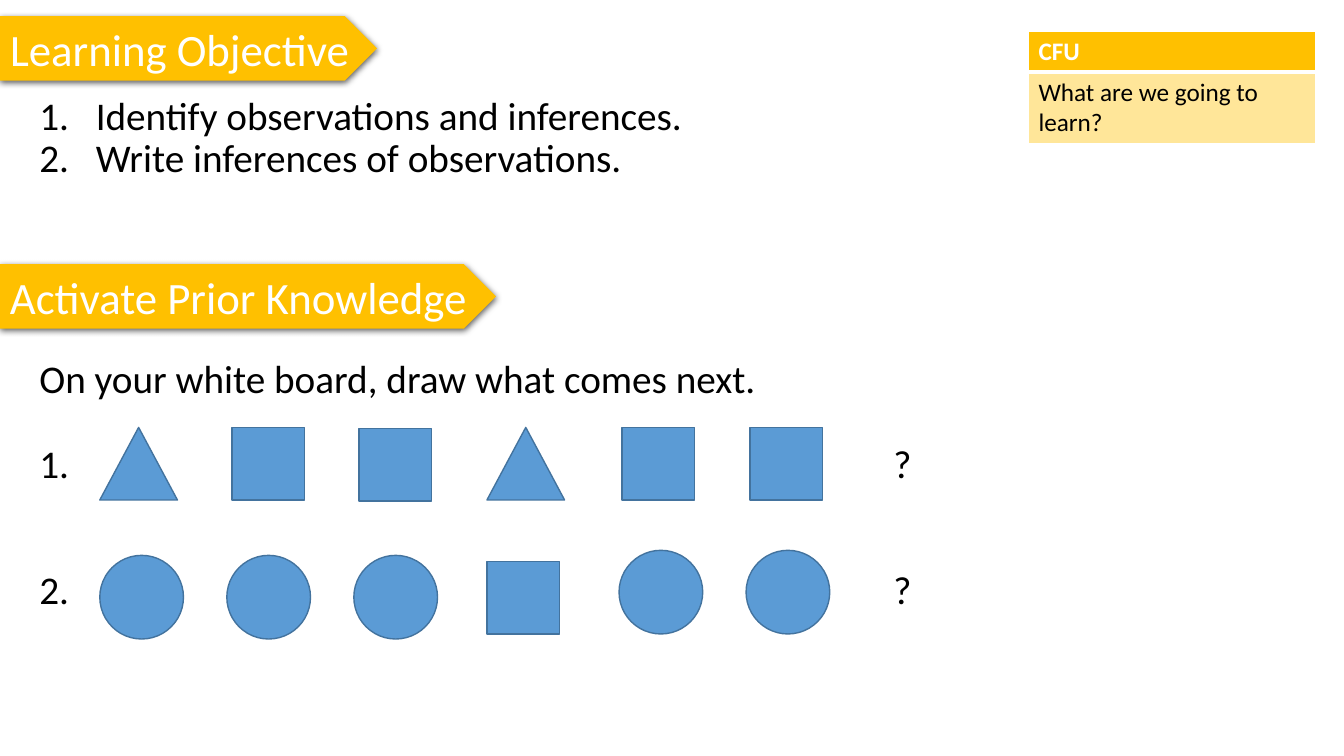
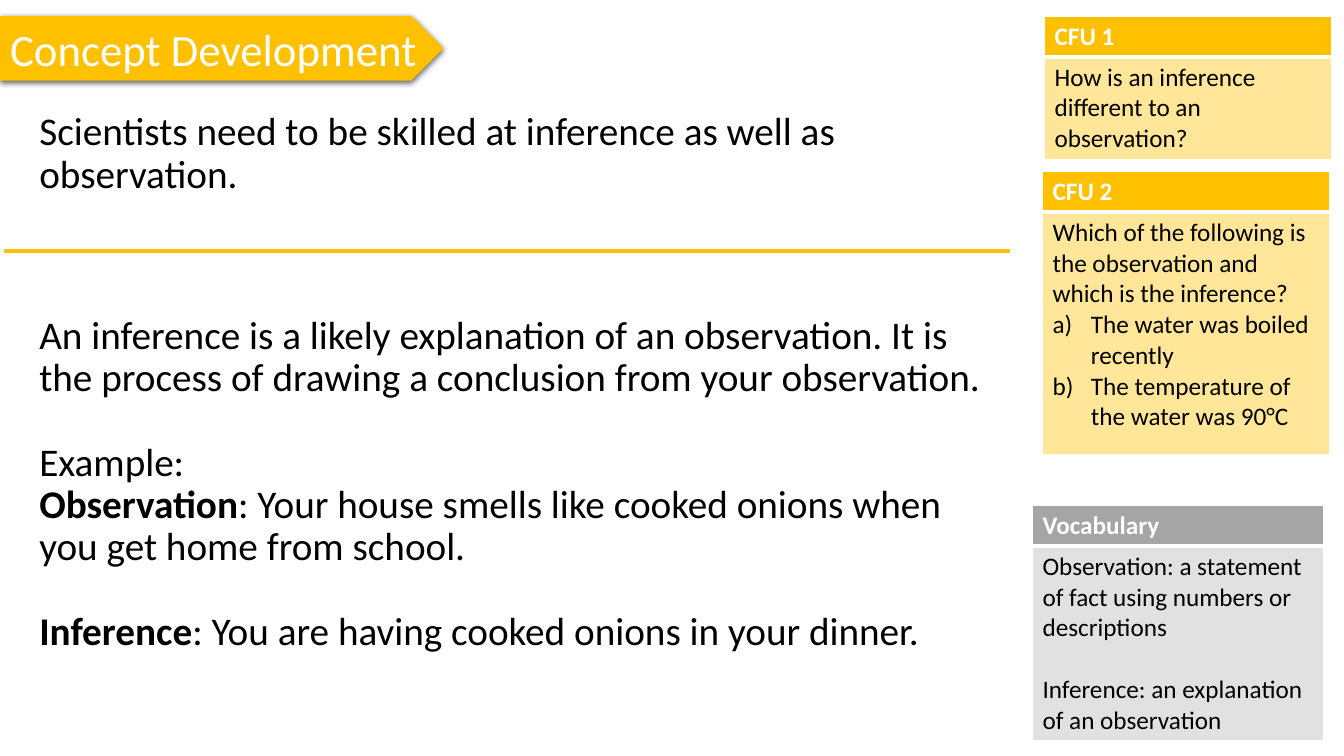
import dataclasses

import pptx
import pptx.dml.color
import pptx.enum.shapes
import pptx.enum.text
import pptx.oxml
import pptx.oxml.ns
import pptx.util
from lxml import etree

Inches = pptx.util.Inches
Pt = pptx.util.Pt
qn = pptx.oxml.ns.qn
SHAPE = pptx.enum.shapes.MSO_SHAPE
TRIANGLE, SQUARE, CIRCLE = SHAPE.ISOSCELES_TRIANGLE, SHAPE.RECTANGLE, SHAPE.OVAL


def color(value):
    return pptx.dml.color.RGBColor.from_string(value)


@dataclasses.dataclass
class Para:
    """Text, with ** around bold parts; gap is space before in points."""
    text: str
    numbering: str = ""
    hang: float = 0
    gap: float = 0


class Lesson:
    FONT = "Calibri"
    WHITE, BLACK = "FFFFFF", "000000"
    GOLD, PALE_GOLD = "FFC000", "FFE699"
    GRAY, PALE_GRAY = "A5A5A5", "E1E1E1"
    BLUE, DARK_BLUE = "5B9BD5", "43739E"
    BAND_HEIGHT = 0.64
    BODY_LEFT, BODY_WIDTH = 0.29, 9.76
    PATTERN_SIZES = {TRIANGLE: (0.77, 0.72), SQUARE: (0.72, 0.72), CIRCLE: (0.83, 0.83)}

    def __init__(self):
        self.deck = pptx.Presentation()
        self.deck.slide_width = Inches(13.33)
        self.deck.slide_height = Inches(7.5)
        self.slide = None

    def new_slide(self):
        two_content = self.deck.slide_layouts[3]
        self.slide = self.deck.slides.add_slide(two_content)

    def place(self, item, left, top, width, height):
        item.left, item.top = Inches(left), Inches(top)
        item.width, item.height = Inches(width), Inches(height)

    def fill_text(self, frame, paras, size, ink, bold=False, spacing=None):
        for index, para in enumerate(paras):
            line = frame.paragraphs[0] if index == 0 else frame.add_paragraph()
            line.alignment = pptx.enum.text.PP_ALIGN.LEFT
            line.space_before = Pt(para.gap)
            if spacing:
                line.line_spacing = spacing
            # Numbering and hanging indent
            props = line._p.get_or_add_pPr()
            props.set("marL", str(Inches(para.hang)))
            props.set("indent", str(-Inches(para.hang)))
            if para.numbering:
                etree.SubElement(props, qn("a:buAutoNum"), type=para.numbering)
            else:
                etree.SubElement(props, qn("a:buNone"))
            # Every second part between ** marks is bold
            for part, words in enumerate(para.text.split("**")):
                if not words:
                    continue
                run = line.add_run()
                run.text = words
                run.font.name = self.FONT
                run.font.size = Pt(size)
                run.font.bold = bold or part % 2 == 1
                run.font.color.rgb = color(ink)

    def band(self, heading, top, width, is_title=False):
        """Gold arrow band; the slide's title sits over it, other headings in it."""
        area = (0, top, width, self.BAND_HEIGHT)
        band = self.slide.shapes.add_shape(SHAPE.PENTAGON, *map(Inches, area))
        band.fill.solid()
        band.fill.fore_color.rgb = color(self.GOLD)
        band.line.fill.background()
        band.shadow.inherit = False
        effects = band.element.spPr.find(qn("a:effectLst"))
        shadow = etree.SubElement(
            effects, qn("a:outerShdw"), blurRad=str(Pt(4.5)), dist=str(Pt(1.5)),
            dir="5400000", algn="ctr", rotWithShape="0")
        black = etree.SubElement(shadow, qn("a:srgbClr"), val=self.BLACK)
        etree.SubElement(black, qn("a:alpha"), val="63000")

        holder = band
        if is_title:
            holder = self.slide.shapes.title
            self.place(holder, 0, top, width - 0.16, self.BAND_HEIGHT)
            holder.element.addprevious(band.element)
        frame = holder.text_frame
        frame.auto_size = pptx.enum.text.MSO_AUTO_SIZE.NONE
        frame.word_wrap = False
        frame.vertical_anchor = pptx.enum.text.MSO_ANCHOR.MIDDLE
        self.fill_text(frame, [Para(heading)], 32, self.WHITE)

    def body(self, index, top, height, paras):
        holder = self.slide.placeholders[index]
        self.place(holder, self.BODY_LEFT, top, self.BODY_WIDTH, height)
        frame = holder.text_frame
        frame.auto_size = pptx.enum.text.MSO_AUTO_SIZE.NONE
        frame.word_wrap = True
        self.fill_text(frame, paras, 28, self.BLACK, spacing=0.9)

    def card(self, left, top, width, height, heading, paras,
             header_fill=GOLD, body_fill=PALE_GOLD, header_height=0.39):
        table = self.slide.shapes.add_table(
            2, 1, Inches(left), Inches(top), Inches(width), Inches(height)).table
        table.horz_banding = False
        table.rows[0].height = Inches(header_height)
        table.rows[1].height = Inches(height - header_height)
        rows = (
            ([Para(heading)], header_fill, self.WHITE, True, (1, 1, 1, 3)),
            (paras, body_fill, self.BLACK, False, (1, 1, 3, 1)),
        )
        for row, (content, fill, ink, bold, borders) in enumerate(rows):
            cell = table.cell(row, 0)
            cell.fill.solid()
            cell.fill.fore_color.rgb = color(fill)
            self.fill_text(cell.text_frame, content, 18, ink, bold)
            props = cell._tc.get_or_add_tcPr()
            for order, (side, weight) in enumerate(zip("LRTB", borders)):
                border = etree.Element(qn("a:ln" + side), w=str(Pt(weight)))
                solid = etree.SubElement(border, qn("a:solidFill"))
                etree.SubElement(solid, qn("a:srgbClr"), val=self.WHITE)
                props.insert(order, border)

    def pattern(self, figures):
        """One grouped row of figures, each given as kind, left, top."""
        row = self.slide.shapes.add_group_shape().shapes
        for kind, left, top in figures:
            area = (left, top, *self.PATTERN_SIZES[kind])
            figure = row.add_shape(kind, *map(Inches, area))
            figure.shadow.inherit = False
            figure.fill.solid()
            figure.fill.fore_color.rgb = color(self.BLUE)
            figure.line.color.rgb = color(self.DARK_BLUE)
            figure.line.width = Pt(1)

    def divider(self, left, right, y):
        rule = self.slide.shapes.add_connector(
            pptx.enum.shapes.MSO_CONNECTOR.STRAIGHT,
            Inches(left), Inches(y), Inches(right), Inches(y))
        rule.line.color.rgb = color(self.GOLD)
        rule.line.width = Pt(2.25)
        etree.SubElement(rule.element.spPr, qn("a:effectLst"))


def objective_slide(lesson):
    lesson.new_slide()
    lesson.band("Learning Objective", 0.16, 3.74, is_title=True)
    lesson.band("Activate Prior Knowledge", 2.62, 4.92)
    lesson.card(10.2, 0.31, 2.85, 1.1, "CFU", [Para("What are we going to learn?")])
    lesson.body(1, 0.91, 1.52, [
        Para("Identify observations and inferences.", "arabicPeriod", 0.56),
        Para("Write inferences of observations.", "arabicPeriod", 0.56),
    ])
    # The wide hanging indent sets each question mark after its pattern
    lesson.body(2, 3.52, 2.81, [
        Para("On your white board, draw what comes next."),
        Para("?", "arabicPeriod", 8.47, gap=30),
        Para("?", "arabicPeriod", 8.47, gap=60),
    ])
    lesson.pattern([
        (TRIANGLE, 0.99, 4.24), (SQUARE, 2.3, 4.24), (SQUARE, 3.56, 4.25),
        (TRIANGLE, 4.83, 4.24), (SQUARE, 6.17, 4.24), (SQUARE, 7.44, 4.24),
    ])
    lesson.pattern([
        (CIRCLE, 0.99, 5.51), (CIRCLE, 2.25, 5.51), (CIRCLE, 3.51, 5.51),
        (SQUARE, 4.83, 5.57), (CIRCLE, 6.14, 5.46), (CIRCLE, 7.4, 5.46),
    ])


def concept_slide(lesson):
    lesson.new_slide()
    lesson.band("Concept Development", 0.16, 4.4, is_title=True)
    lesson.divider(0.04, 10.02, 2.49)
    lesson.body(1, 1.06, 1.4, [
        Para("Scientists need to be skilled at inference as well as observation."),
    ])
    lesson.body(2, 3.08, 3.8, [
        Para("An inference is a likely explanation of an observation. It is "
             "the process of drawing a conclusion from your observation."),
        Para("Example:", gap=30),
        Para("**Observation**: Your house smells like cooked onions when "
             "you get home from school."),
        Para("**Inference**: You are having cooked onions in your dinner.", gap=30),
    ])
    # Side cards
    lesson.card(10.36, 0.16, 2.85, 1.4, "CFU 1", [
        Para("How is an inference different to an observation?"),
    ])
    lesson.card(10.34, 1.7, 2.85, 2.79, "CFU 2", [
        Para("Which of the following is the observation and which is the inference?"),
        Para("The water was boiled recently", "alphaLcParenR", 0.38),
        Para("The temperature of the water was 90°C", "alphaLcParenR", 0.38),
    ])
    lesson.card(10.24, 5.01, 2.89, 2.31, "Vocabulary", [
        Para("Observation: a statement of fact using numbers or descriptions"),
        Para("Inference: an explanation of an observation", gap=22),
    ], lesson.GRAY, lesson.PALE_GRAY, header_height=0.41)


def main():
    lesson = Lesson()
    objective_slide(lesson)
    concept_slide(lesson)
    lesson.deck.save("out.pptx")


if __name__ == "__main__":
    main()
